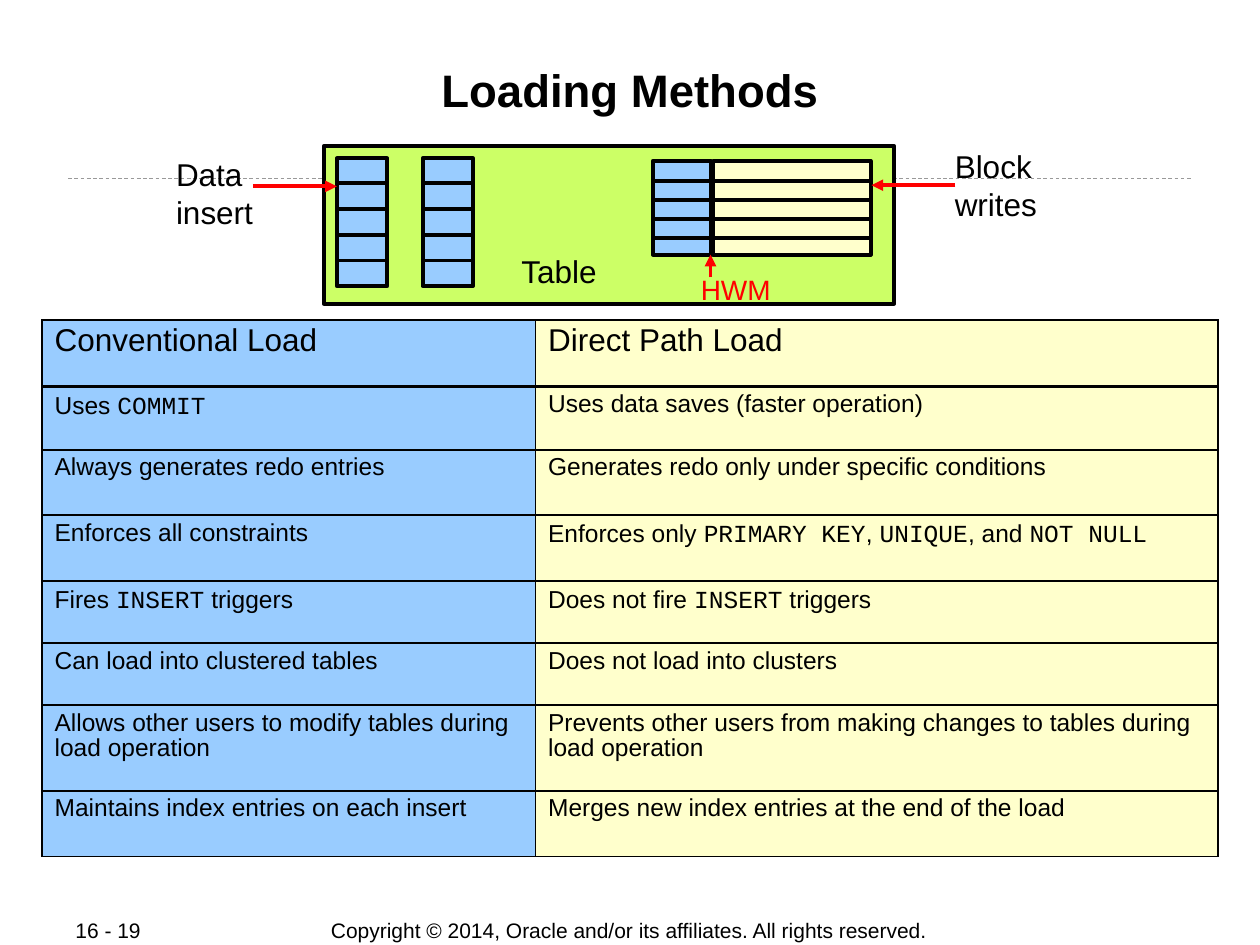
from dataclasses import dataclass

from lxml.etree import SubElement
from pptx import Presentation
from pptx.dml.color import RGBColor
from pptx.enum.dml import MSO_LINE
from pptx.enum.shapes import MSO_CONNECTOR, MSO_SHAPE
from pptx.enum.text import MSO_ANCHOR as ANCHOR, MSO_AUTO_SIZE as AUTO, PP_ALIGN as ALIGN
from pptx.oxml import parse_xml
from pptx.oxml.ns import nsdecls, qn
from pptx.util import Pt

COLORS = {
    "black": "000000", "red": "FF0000", "gray": "999999",
    "blue": "99CCFF", "cream": "FFFFCC", "green": "CCFF66",
}
BODY_FONT, CODE_FONT = "Arial", "Courier New"
THICK = 2.25


@dataclass
class Block:
    left: float
    top: float
    width: float
    height: float
    fill: str
    first: float = 0
    pitch: float = 0
    dividers: int = 0


@dataclass
class Line:
    x1: float
    y1: float
    x2: float
    y2: float
    color: str = "black"
    weight: float = THICK
    arrow: bool = False
    dashed: bool = False


@dataclass
class Label:
    text: str
    left: float
    top: float
    width: float
    height: float
    size: float = 18
    color: str = "black"
    inset: float = 7.2
    align: ALIGN = ALIGN.LEFT
    anchor: ANCHOR = ANCHOR.TOP
    wrap: bool = True


BLOCKS = [
    Block(185, 83.5, 326, 90, "green"),
    Block(192.5, 90.5, 28.8, 73, "blue", 104.5, 14.8, 4),
    Block(241.5, 90.5, 28.8, 73, "blue", 104.5, 14.8, 4),
    Block(373, 92, 33.5, 53.5, "blue", 103.5, 10.8, 4),
    Block(407.5, 92, 90, 53.5, "cream", 103.5, 10.8, 4),
]
MARKS = [
    Line(407.5, 91.5, 407.5, 144),
    Line(406, 158.5, 406, 145.5, "red", arrow=True),
    Line(144.5, 106.5, 192.5, 106.5, "red", arrow=True),
    Line(546, 105.8, 498, 105.8, "red", arrow=True),
]
LABELS = [
    Label("Table", 291.5, 140.5, 74, 28, inset=6.5),
    Label("Block\vwrites", 538.5, 80.5, 78.5, 50.5),
    Label("HWM", 394, 152, 74, 26, 16, "red", 6.5),
    Label("Data insert", 93.5, 85, 78.5, 50.5),
    Label("16 - 19", 36, 524, 76, 15, 12, anchor=ANCHOR.MIDDLE),
    Label("Copyright © 2014, Oracle and/or its affiliates. All rights reserved.",
          198, 524, 323, 15, 12, align=ALIGN.CENTER, anchor=ANCHOR.MIDDLE, wrap=False),
]
COLUMNS = [282, 390]
COLUMN_FILLS = ["blue", "cream"]
ROWS = [
    (38, "Conventional Load", "Direct Path Load"),
    (36, "Uses `COMMIT`", "Uses data saves (faster operation)"),
    (37.5, "Always generates redo entries", "Generates redo only under specific conditions"),
    (37.5, "Enforces all constraints",
     "Enforces only `PRIMARY KEY`, `UNIQUE`, and `NOT NULL`"),
    (35.5, "Fires `INSERT` triggers", "Does not fire `INSERT` triggers"),
    (35.5, "Can load into clustered tables", "Does not load into clusters"),
    (49, "Allows other users to modify tables during load operation",
     "Prevents other users from making changes to tables during load operation"),
    (37.5, "Maintains index entries on each insert",
     "Merges new index entries at the end of the load"),
]


def rgb(name: str) -> RGBColor:
    return RGBColor.from_string(COLORS[name])


def set_all(obj, values: dict) -> None:
    for name, value in values.items():
        setattr(obj, name, value)


def format_font(font, size: float, color: str = "black", name: str = BODY_FONT,
                bold: bool = False) -> None:
    set_all(font, {"name": name, "size": Pt(size), "bold": bold})
    font.color.rgb = rgb(color)


def format_frame(tf, inset_x: float, inset_y: float, anchor: ANCHOR, wrap: bool = True) -> None:
    set_all(tf, {
        "margin_left": Pt(inset_x), "margin_right": Pt(inset_x),
        "margin_top": Pt(inset_y), "margin_bottom": Pt(inset_y),
        "vertical_anchor": anchor, "word_wrap": wrap, "auto_size": AUTO.NONE,
    })


def draw_line(slide, line: Line) -> None:
    c = slide.shapes.add_connector(
        MSO_CONNECTOR.STRAIGHT, Pt(line.x1), Pt(line.y1), Pt(line.x2), Pt(line.y2))
    c.line.color.rgb = rgb(line.color)
    c.line.width = Pt(line.weight)
    if line.dashed:
        c.line.dash_style = MSO_LINE.DASH
    if line.arrow:
        SubElement(c.line._get_or_add_ln(), qn("a:tailEnd"), type="triangle")
    SubElement(c._element.spPr, qn("a:effectLst"))


def draw_block(slide, block: Block) -> None:
    sp = slide.shapes.add_shape(
        MSO_SHAPE.RECTANGLE, Pt(block.left), Pt(block.top), Pt(block.width), Pt(block.height))
    sp.shadow.inherit = False
    sp.fill.solid()
    sp.fill.fore_color.rgb = rgb(block.fill)
    sp.line.color.rgb = rgb("black")
    sp.line.width = Pt(THICK)
    for i in range(block.dividers):
        y = block.first + i * block.pitch
        draw_line(slide, Line(block.left, y, block.left + block.width, y))


def draw_label(slide, label: Label) -> None:
    sp = slide.shapes.add_textbox(
        Pt(label.left), Pt(label.top), Pt(label.width), Pt(label.height))
    format_frame(sp.text_frame, label.inset, 3.6, label.anchor, label.wrap)
    p = sp.text_frame.paragraphs[0]
    p.text = label.text
    p.alignment = label.align
    for r in p.runs:
        format_font(r.font, label.size, label.color)


def add_borders(cell, top: float, bottom: float) -> None:
    tc_pr = cell._tc.get_or_add_tcPr()
    sides = {"lnL": 1.08, "lnR": 1.08, "lnT": top, "lnB": bottom}
    for i, (side, weight) in enumerate(sides.items()):
        tc_pr.insert(i, parse_xml(
            f'<a:{side} {nsdecls("a")} w="{Pt(weight)}"><a:solidFill>'
            f'<a:srgbClr val="{COLORS["black"]}"/></a:solidFill></a:{side}>'))


def fill_cell(cell, text: str, size: float, fill: str) -> None:
    cell.fill.solid()
    cell.fill.fore_color.rgb = rgb(fill)
    p = cell.text_frame.paragraphs[0]
    p.line_spacing = 0.9
    for i, part in enumerate(text.split("`")):
        if part:
            r = p.add_run()
            r.text = part
            format_font(r.font, size, name=CODE_FONT if i % 2 else BODY_FONT)


def draw_table(slide) -> None:
    heights = [row[0] for row in ROWS]
    table = slide.shapes.add_table(
        len(ROWS), len(COLUMNS), Pt(24), Pt(183), Pt(sum(COLUMNS)), Pt(sum(heights))).table
    set_all(table, {"first_row": False, "horz_banding": False})
    for column, width in zip(table.columns, COLUMNS):
        column.width = Pt(width)
    for i, (height, *texts) in enumerate(ROWS):
        table.rows[i].height = Pt(height)
        for j, text in enumerate(texts):
            cell = table.cell(i, j)
            fill_cell(cell, text, 14 if i else 18, COLUMN_FILLS[j])
            add_borders(cell, 2.21 if i == 1 else 1.08, 1.08 if i else 2.21)


def draw_title(slide, text: str) -> None:
    sp = slide.shapes.title
    set_all(sp, {"left": Pt(48), "top": Pt(34.5), "width": Pt(624), "height": Pt(69)})
    format_frame(sp.text_frame, 0.7, 0.7, ANCHOR.TOP)
    p = sp.text_frame.paragraphs[0]
    p.text = text
    set_all(p, {"alignment": ALIGN.CENTER, "space_before": Pt(0)})
    format_font(p.runs[0].font, 26, bold=True)


def main() -> None:
    prs = Presentation()
    set_all(prs, {"slide_width": Pt(720), "slide_height": Pt(540)})
    slide = prs.slides.add_slide(prs.slide_layouts[5])
    draw_title(slide, "Loading Methods")
    draw_line(slide, Line(39, 102, 681, 102, "gray", 0.5, dashed=True))
    draw_table(slide)
    for block in BLOCKS:
        draw_block(slide, block)
    for mark in MARKS:
        draw_line(slide, mark)
    for label in LABELS:
        draw_label(slide, label)
    prs.save("out.pptx")


if __name__ == "__main__":
    main()
